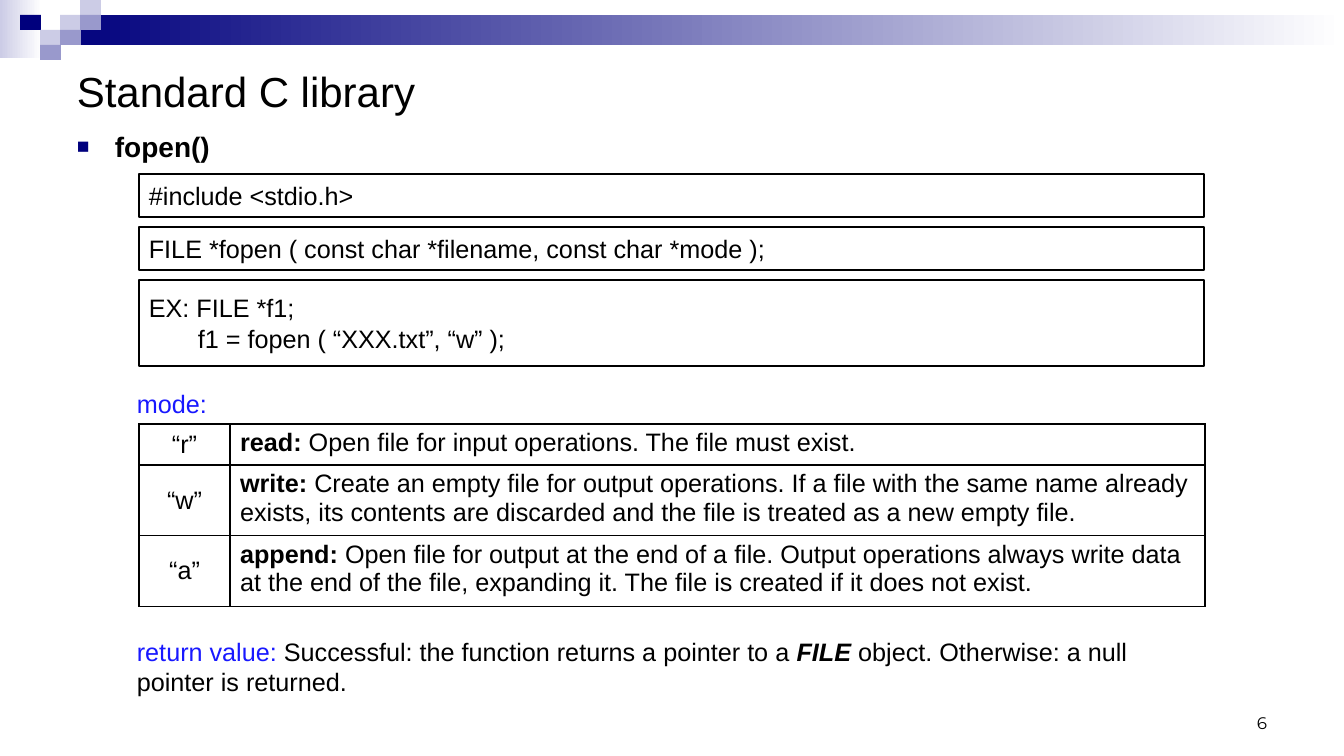
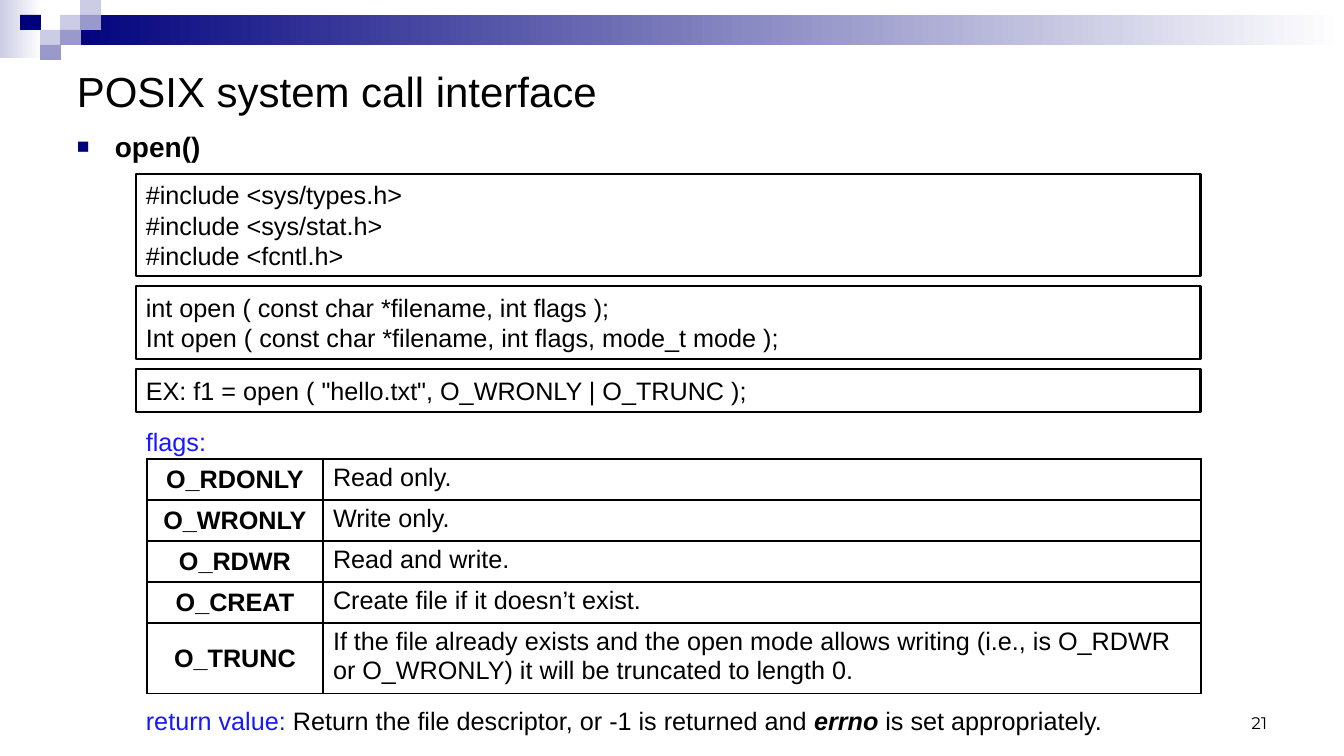
import pptx
import pptx.util
import pptx.dml.color
import pptx.enum.shapes
import pptx.enum.text
import pptx.oxml

ALIGN = pptx.enum.text.PP_ALIGN
ANCHOR = pptx.enum.text.MSO_ANCHOR
RECT = pptx.enum.shapes.MSO_SHAPE.RECTANGLE
NS = 'xmlns:a="http://schemas.openxmlformats.org/drawingml/2006/main"'

BLACK, WHITE, NAVY = "000000", "FFFFFF", "00007D"
BLUE, MID, LIGHT = "1818FF", "9999CC", "CCCCE6"


def px(num):
    return pptx.util.Emu(round(num * 914400 / 100.8))


def rgb(code):
    return pptx.dml.color.RGBColor.from_string(code)


class Deck:
    font, size = "Arial", 18
    gap = 10

    def __init__(self):
        self.prs = pptx.Presentation()
        self.prs.slide_width, self.prs.slide_height = px(1344), px(756)

    def start(self, title, topic, page):
        """Add a slide with the shared band, title, topic and page number."""
        self.slide = self.prs.slides.add_slide(self.prs.slide_layouts[6])
        self.band()
        self.label(67, 50, 1210, 82, [title], size=30, anchor=ANCHOR.MIDDLE)
        self.topic(topic)
        self.label(964, 688, 313, 50, [str(page)], size=12, font="Montserrat",
                   anchor=ANCHOR.BOTTOM, align=ALIGN.RIGHT)

    # Text
    def fill_in(self, para, runs, size=None, font=None, color=BLACK,
                bold=False, align=ALIGN.LEFT):
        """Runs are plain strings or (text, font settings) pairs."""
        para.alignment = align
        base = para.font
        base.name, base.size = font or self.font, pptx.util.Pt(size or self.size)
        base.bold = bold
        base.color.rgb = rgb(color)
        for item in runs:
            text, look = (item, {}) if isinstance(item, str) else item
            run = para.add_run()
            run.text = text
            if "color" in look:
                run.font.color.rgb = rgb(look["color"])
            if "bold" in look:
                run.font.bold = look["bold"]
            if "italic" in look:
                run.font.italic = look["italic"]

    def label(self, x, y, w, h, runs, anchor=ANCHOR.TOP, **look):
        box = self.slide.shapes.add_textbox(px(x), px(y), px(w), px(h))
        frame = box.text_frame
        frame.word_wrap = True
        frame.vertical_anchor = anchor
        self.fill_in(frame.paragraphs[0], runs, **look)
        return frame.paragraphs[0]

    def topic(self, text):
        para = self.label(67, 125, 1210, 42, [text], size=20, bold=True)
        para.space_before = pptx.util.Pt(4)
        props = para._p.get_or_add_pPr()
        props.set("marL", str(px(38)))
        props.set("indent", str(px(-38)))
        marks = (f'<a:buClr {NS}><a:srgbClr val="{NAVY}"/></a:buClr>',
                 f'<a:buSzPct {NS} val="75000"/>',
                 f'<a:buFont {NS} typeface="{self.font}"/>',
                 f'<a:buChar {NS} char="■"/>')
        spot = 1 + props.index(props.find(pptx.oxml.ns.qn("a:spcBef")))
        for step, mark in enumerate(marks):
            props.insert(spot + step, pptx.oxml.parse_xml(mark))

    # Shapes
    def rect(self, x, y, w, h, fill=None, fade=None, line=None):
        shape = self.slide.shapes.add_shape(RECT, px(x), px(y), px(w), px(h))
        shape.shadow.inherit = False
        if fade:
            shape.fill.gradient()
            shape.fill.gradient_angle = 0
            for stop, code in zip(shape.fill.gradient_stops, (fade, WHITE)):
                stop.color.rgb = rgb(code)
        elif fill:
            shape.fill.solid()
            shape.fill.fore_color.rgb = rgb(fill)
        else:
            shape.fill.background()
        if line:
            shape.line.color.rgb = rgb(line)
            shape.line.width = pptx.util.Pt(2)
        else:
            shape.line.fill.background()
        return shape

    def band(self):
        self.rect(0, 0, 42, 58, fade=LIGHT)
        self.rect(60, 15, 1284, 30, fade=NAVY)
        tiles = {NAVY: [(1, 1)],
                 LIGHT: [(3, 1), (4, 0), (2, 2)],
                 MID: [(4, 1), (3, 2), (2, 3)]}
        for code, spots in tiles.items():
            for col, row in spots:
                self.rect(col * 20, row * 15, 21, 15, fill=code)

    def codes(self, x, y, boxes):
        """Stack framed code boxes; each is (height, [(indent, line), ...])."""
        for high, lines in boxes:
            frame = self.rect(x, y, 1065, high, line=BLACK).text_frame
            frame.word_wrap = True
            frame.vertical_anchor = ANCHOR.MIDDLE
            for num, (indent, line) in enumerate(lines):
                para = frame.add_paragraph() if num else frame.paragraphs[0]
                self.fill_in(para, [line])
                if indent:
                    para._p.get_or_add_pPr().set("marL", str(px(indent)))
            y += high + self.gap

    # Table
    def border(self, cell):
        props = cell._tc.get_or_add_tcPr()
        for num, side in enumerate(("lnL", "lnR", "lnT", "lnB")):
            props.insert(num, pptx.oxml.parse_xml(
                f'<a:{side} {NS} w="12700"><a:solidFill>'
                f'<a:srgbClr val="{BLACK}"/></a:solidFill></a:{side}>'))

    def table(self, x, y, cols, highs, rows, bold=False):
        table = self.slide.shapes.add_table(
            len(rows), len(cols), px(x), px(y), px(sum(cols)), px(sum(highs))).table
        table.first_row = table.horz_banding = False
        for col, wide in zip(table.columns, cols):
            col.width = px(wide)
        for row, high, (key, runs) in zip(table.rows, highs, rows):
            row.height = px(high)
            for cell in row.cells:
                cell.fill.solid()
                cell.fill.fore_color.rgb = rgb(WHITE)
                self.border(cell)
            name, note = row.cells
            name.vertical_anchor = ANCHOR.MIDDLE
            self.fill_in(name.text_frame.paragraphs[0], [key], bold=bold,
                         align=ALIGN.CENTER)
            self.fill_in(note.text_frame.paragraphs[0], runs)


STRONG = {"bold": True}
TERM = {"bold": True, "italic": True}
RETURN = ("return value: ", {"color": BLUE})

deck = Deck()

# Library call
deck.start("Standard C library", "fopen()", 6)
deck.codes(139, 174, [
    (43, [(0, "#include <stdio.h>")]),
    (43, [(0, "FILE *fopen ( const char *filename, const char *mode );")]),
    (86, [(0, "EX: FILE *f1;"), (49, "f1 = fopen ( “XXX.txt”, “w” );")]),
])
deck.table(139, 424, [91, 975], [41, 67, 67], [
    ("“r”", [("read:", STRONG),
             "\u00a0Open file for input operations. The file must exist."]),
    ("“w”", [("write:", STRONG),
             "\u00a0Create an empty file for output operations. If a file with "
             "the same name already exists, its contents are discarded and "
             "the file is treated as a new empty file."]),
    ("“a”", [("append:", STRONG),
             "\u00a0Open file for output at the end of a file. Output operations "
             "always write data at the end of the file, expanding it. "
             "The file is created if it does not exist."]),
])
deck.label(127, 383, 91, 40, ["mode:"], color=BLUE)
deck.label(127, 631, 1065, 102, [
    RETURN, "Successful: the function returns a pointer to a\u00a0",
    ("FILE", TERM), "\u00a0object. Otherwise: a null pointer is returned."])

# System call
deck.start("POSIX system call interface", "open()", 21)
deck.codes(136, 174, [
    (102, [(0, "#include <sys/types.h>"), (0, "#include <sys/stat.h>"),
           (0, "#include <fcntl.h>")]),
    (73, [(0, "int open ( const char *filename, int flags );"),
          (0, "Int open ( const char *filename, int flags, mode_t mode );")]),
    (43, [(0, 'EX: f1 = open ( "hello.txt", O_WRONLY | O_TRUNC );')]),
])
deck.label(136, 421, 1065, 40, ["flags:"], color=BLUE)
deck.label(136, 700, 1083, 40, [
    RETURN, "Return the file descriptor, or -1 is returned and ",
    ("errno", TERM), " is set appropriately."])
deck.table(147, 459, [176, 878], [41] * 4 + [70], [
    ("O_RDONLY", ["Read only."]),
    ("O_WRONLY", ["Write only."]),
    ("O_RDWR", ["Read and write."]),
    ("O_CREAT", ["Create file if it doesn’t exist."]),
    ("O_TRUNC", ["If the file already exists and the open mode allows writing "
                 "(i.e., is O_RDWR or O_WRONLY) it will be truncated to "
                 "length 0."]),
], bold=True)

deck.prs.save("out.pptx")
